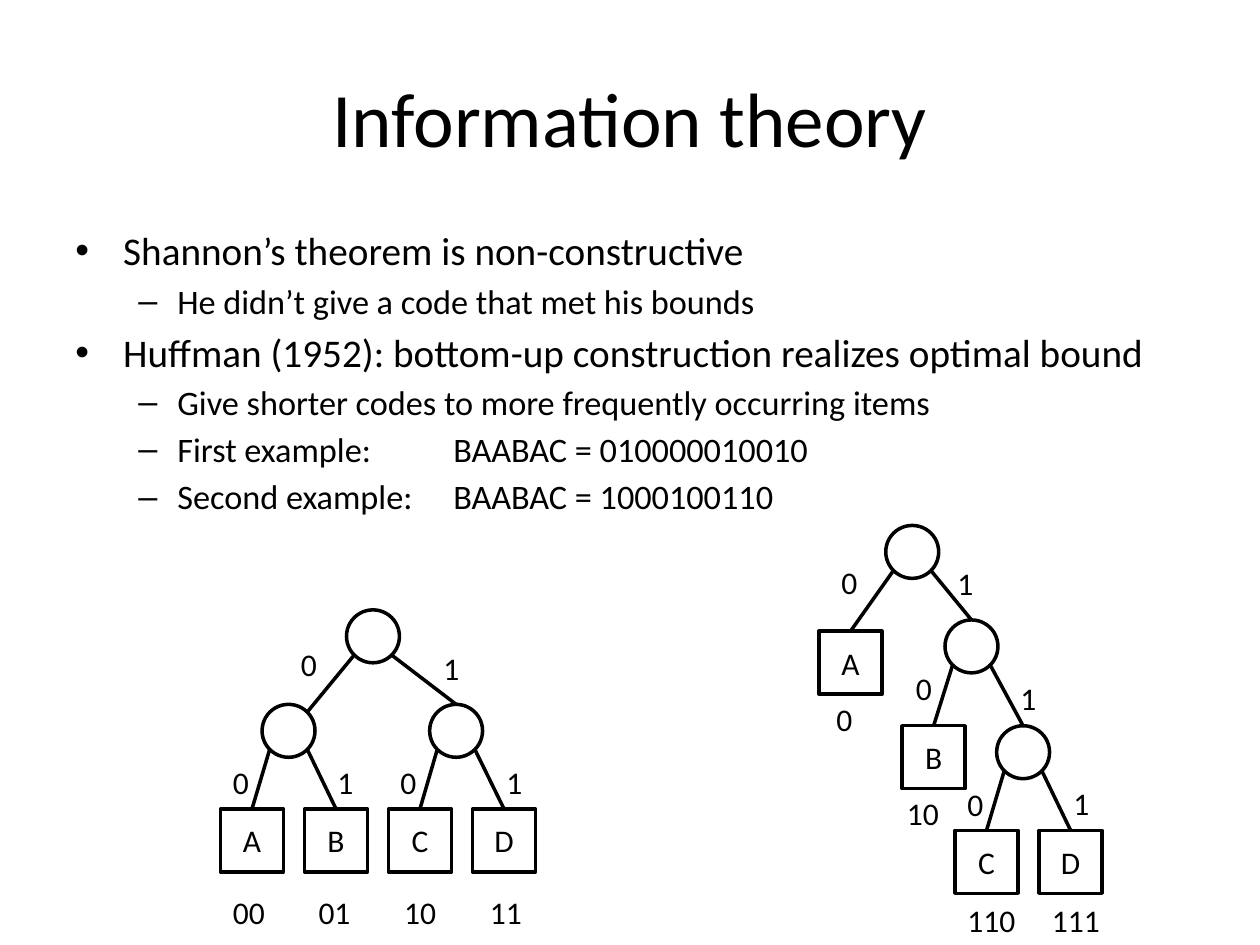
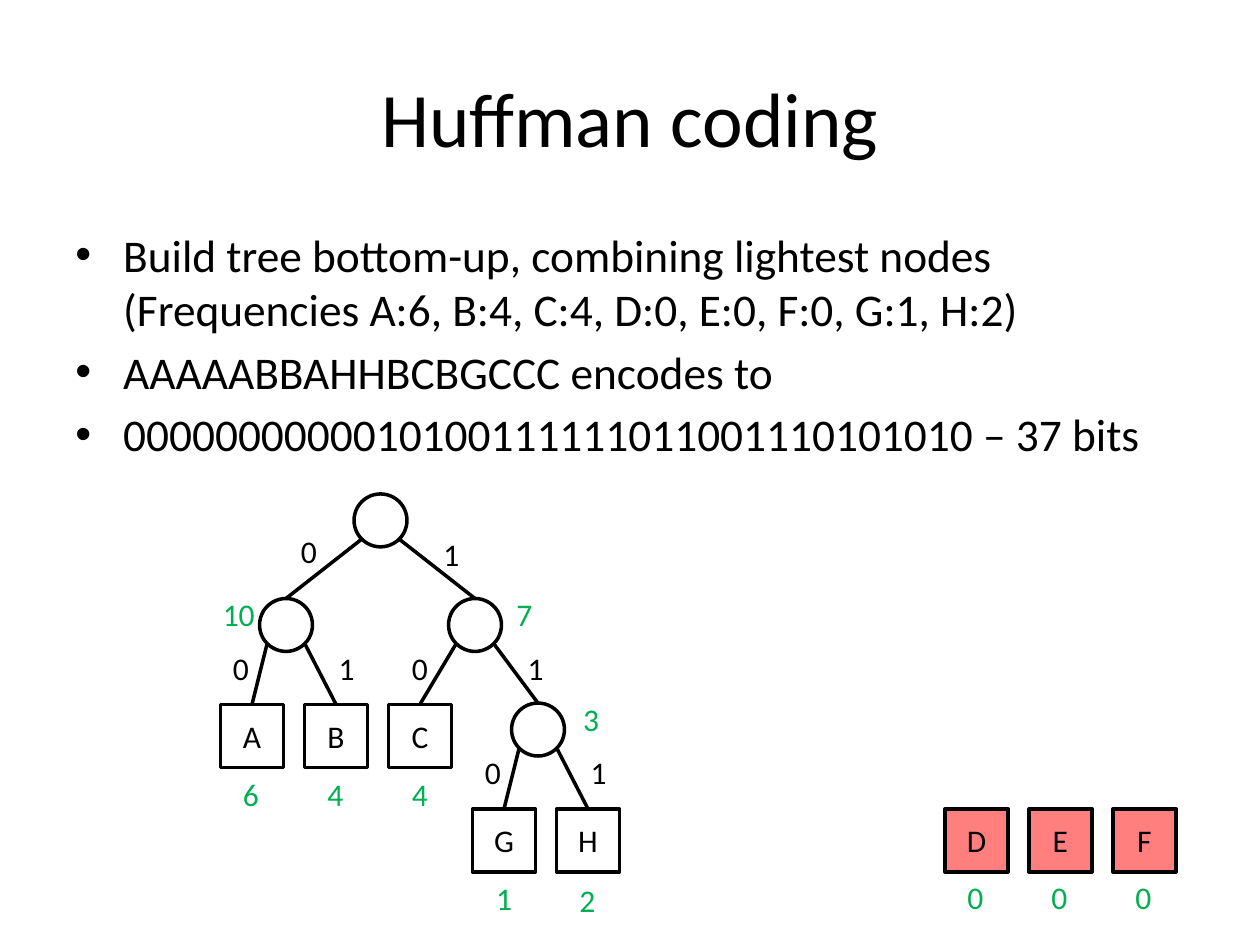
import lxml.etree
import pptx
import pptx.dml.color
import pptx.enum.shapes
import pptx.enum.text
import pptx.oxml
import pptx.oxml.ns
import pptx.util

Inches = pptx.util.Inches
Pt = pptx.util.Pt
qn = pptx.oxml.ns.qn
ALIGN = pptx.enum.text.PP_ALIGN
SHAPE = pptx.enum.shapes.MSO_SHAPE
MIDDLE = pptx.enum.text.MSO_ANCHOR.MIDDLE

FONT = "Calibri"
BLACK, GREEN, RED = "000000", "00B050", "FF0000"
RING, LEAF, STEP = 0.42, 0.5, 2 / 3
DIAG = 0.15
LEVELS = [("•", 0.38, 0.38), ("–", 0.81, 0.31)]


def color(code):
    """Turn a hex string into a colour."""
    return pptx.dml.color.RGBColor.from_string(code)


def style(para, size, code=BLACK, align=ALIGN.LEFT):
    """Set the font and alignment of a paragraph."""
    para.alignment = align
    para.font.name = FONT
    para.font.size = Pt(size)
    para.font.color.rgb = color(code)


def add_box(slide, left, top, width, height, wrap=True):
    """Add an empty text box and return its frame."""
    area = [Inches(v) for v in (left, top, width, height)]
    frame = slide.shapes.add_textbox(*area).text_frame
    frame.word_wrap = wrap
    return frame


def add_title(slide, text):
    """Add the centred slide title."""
    frame = add_box(slide, 0.5, 0.3, 9, 1.25)
    frame.vertical_anchor = MIDDLE
    frame.text = text
    style(frame.paragraphs[0], 44, align=ALIGN.CENTER)


def add_list(slide, height, sizes, items):
    """Add bulleted text as pairs of level and wording."""
    frame = add_box(slide, 0.5, 1.75, 9, height)
    for num, (level, text) in enumerate(items):
        para = frame.add_paragraph() if num else frame.paragraphs[0]
        para.text = text
        mark, left, hang = LEVELS[level]
        props = para._p.get_or_add_pPr()
        props.set("marL", str(Inches(left)))
        props.set("indent", str(-Inches(hang)))
        props.set("defTabSz", str(Inches(1)))
        lxml.etree.SubElement(props, qn("a:buFont")).set("typeface", "Arial")
        lxml.etree.SubElement(props, qn("a:buChar")).set("char", mark)
        style(para, sizes[level])
        if num:
            para.space_before = Pt(round(sizes[level] * 0.18, 1))


def add_label(slide, text, left, top, code=BLACK):
    """Add a short label sized to its characters."""
    frame = add_box(slide, left, top, 0.2 + 0.13 * len(text), 0.4, False)
    frame.text = text
    style(frame.paragraphs[0], 18, code)


def add_node(slide, name, mid, top, fill=None):
    """Draw a lettered square leaf or an empty inner circle."""
    leaf = name.isupper()
    size = LEAF if leaf else RING
    kind = SHAPE.RECTANGLE if leaf else SHAPE.OVAL
    area = [Inches(v) for v in (mid - size / 2, top, size, size)]
    node = slide.shapes.add_shape(kind, *area)
    node.shadow.inherit = False
    node.line.color.rgb = color(BLACK)
    node.line.width = Pt(2)
    if fill:
        node.fill.solid()
        node.fill.fore_color.rgb = color(fill)
        tint = node.fill._xPr.find(".//" + qn("a:srgbClr"))
        lxml.etree.SubElement(tint, qn("a:alpha")).set("val", "50000")
    else:
        node.fill.background()
    if leaf:
        frame = node.text_frame
        frame.vertical_anchor = MIDDLE
        frame.text = name
        style(frame.paragraphs[0], 18, align=ALIGN.CENTER)


def add_edge(slide, *ends):
    """Draw a plain line between two points."""
    kind = pptx.enum.shapes.MSO_CONNECTOR.STRAIGHT
    line = slide.shapes.add_connector(kind, *[Inches(v) for v in ends])
    line.line.color.rgb = color(BLACK)
    line.line.width = Pt(2)
    lxml.etree.SubElement(line._element.spPr, qn("a:effectLst"))


def add_tree(slide, box, nodes, edges, notes, code=BLACK, fill=None):
    """Draw nodes, edges with their bits, and notes from a corner."""
    left, top = box
    for name, (mid, high) in nodes.items():
        add_node(slide, name, left + mid, top + high, fill)
    for start, end, bit_x, bit_y, *shift in edges:
        (x1, y1), (x2, y2) = nodes[start], nodes[end]
        side = 1 if x2 > x1 else -1
        dx, dy = shift or (0, 0)
        add_edge(slide, left + x1 + side * DIAG, top + y1 + RING / 2 + DIAG,
                 left + x2 + dx, top + y2 + dy)
        add_label(slide, "1" if side > 0 else "0", left + bit_x, top + bit_y)
    for text, x, y in notes:
        add_label(slide, text, left + x, top + y, code)


def row(names, left, top):
    """Place leaves side by side at equal steps."""
    return {name: (left + STEP * num, top) for num, name in enumerate(names)}


def add_theory(slide):
    """Build the slide on information theory."""
    add_title(slide, "Information theory")
    add_list(slide, 2.42, (22.4, 19.6), [
        (0, "Shannon’s theorem is non-constructive"),
        (1, "He didn’t give a code that met his bounds"),
        (0, "Huffman (1952): bottom-up construction realizes optimal bound"),
        (1, "Give shorter codes to more frequently occurring items"),
        (1, "First example:\tBAABAC = 010000010010"),
        (1, "Second example:\tBAABAC = 1000100110"),
    ])
    even = {"root": (1.21, 0), "west": (0.54, 0.75), "east": (1.87, 0.75)}
    add_tree(slide, (1.75, 4.84), even | row("ABCD", 0.25, 1.58), [
        ("root", "west", 0.54, 0.23, 0.15, 0.06),
        ("root", "east", 1.67, 0.26),
        ("west", "A", 0, 1.17),
        ("west", "B", 0.83, 1.17),
        ("east", "C", 1.33, 1.17),
        ("east", "D", 2.17, 1.17),
    ], [(text, 0.68 * num, 2.2)
        for num, text in enumerate(("00", "01", "10", "11"))])
    skew = {"root": (0.74, 0), "east": (1.21, 0.75), "deep": (1.62, 1.59),
            "A": (0.25, 0.84), "B": (0.91, 1.59)}
    add_tree(slide, (6.5, 4.17), skew | row("CD", 1.33, 2.42), [
        ("root", "A", 0.08, 0.25),
        ("root", "east", 1, 0.26),
        ("east", "B", 0.67, 1.09),
        ("east", "deep", 1.5, 1.17),
        ("deep", "C", 1.08, 2.01),
        ("deep", "D", 1.92, 2),
    ], [("0", 0.04, 1.34), ("10", 0.6, 2.08),
        ("110", 1.08, 2.93), ("111", 1.75, 2.93)])


def add_coding(slide):
    """Build the slide on Huffman coding."""
    add_title(slide, "Huffman coding")
    add_list(slide, 1.92, (25.9,), [
        (0, "Build tree bottom-up, combining lightest nodes "
            "(Frequencies A:6, B:4, C:4, D:0, E:0, F:0, G:1, H:2)"),
        (0, "AAAAABBAHHBCBGCCC encodes to"),
        (0, "0000000000010100111111011001110101010 – 37 bits"),
    ])
    inner = {"root": (1.27, 0), "west": (0.52, 0.83),
             "east": (2.02, 0.83), "deep": (2.52, 1.66)}
    leaves = row("ABC", 0.25, 1.67) | row("GH", 2.25, 2.5)
    add_tree(slide, (1.75, 3.92), inner | leaves, [
        ("root", "west", 0.54, 0.25),
        ("root", "east", 1.67, 0.28),
        ("west", "A", 0, 1.18),
        ("west", "B", 0.84, 1.18),
        ("east", "C", 1.42, 1.18),
        ("east", "deep", 2.34, 1.18),
        ("deep", "G", 2, 2.01),
        ("deep", "H", 2.84, 2.01),
    ], [("6", 0.08, 2.18), ("4", 0.75, 2.18), ("4", 1.42, 2.18),
        ("1", 2.09, 3.01), ("2", 2.75, 3.02),
        ("10", -0.08, 0.75), ("7", 2.25, 0.75), ("3", 2.78, 1.59)], GREEN)
    add_tree(slide, (7.5, 6.42), row("DEF", 0.25, 0), [],
             [("0", 0.08 + STEP * num, 0.5) for num in range(3)], GREEN, RED)


def main():
    """Build and save the deck."""
    deck = pptx.Presentation()
    deck.slide_width, deck.slide_height = Inches(10), Inches(7.5)
    for build in (add_theory, add_coding):
        build(deck.slides.add_slide(deck.slide_layouts[6]))
    deck.save("out.pptx")


if __name__ == "__main__":
    main()
